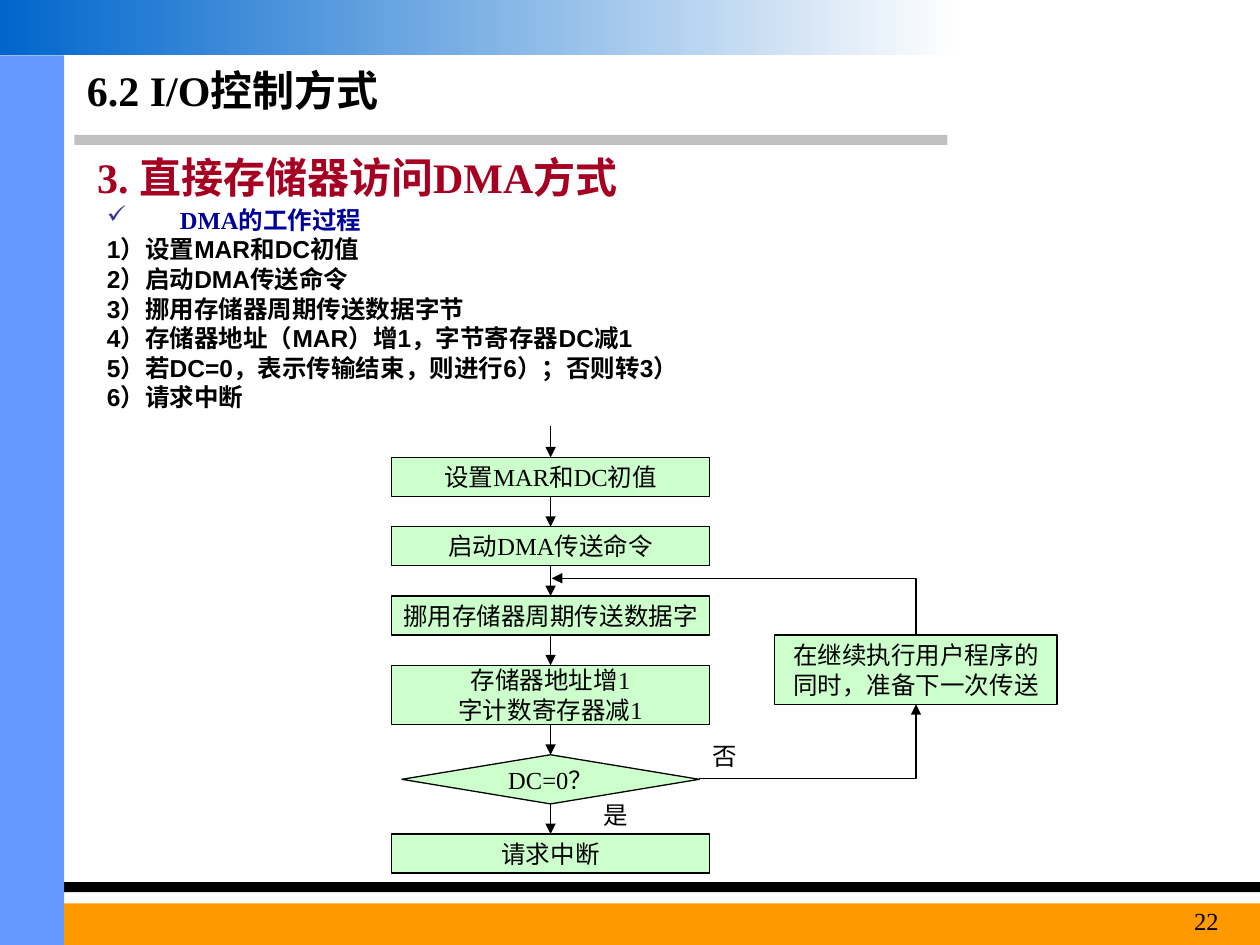
import pptx
import pptx.util
import pptx.dml.color
import pptx.enum.shapes
import pptx.enum.text
import pptx.oxml
import pptx.oxml.ns
import lxml.etree

Inches = pptx.util.Inches
Pt = pptx.util.Pt
RGBColor = pptx.dml.color.RGBColor
SHAPE = pptx.enum.shapes.MSO_SHAPE
CONNECTOR = pptx.enum.shapes.MSO_CONNECTOR
ALIGN = pptx.enum.text.PP_ALIGN
ANCHOR = pptx.enum.text.MSO_ANCHOR
qn = pptx.oxml.ns.qn

BLACK = RGBColor(0x00, 0x00, 0x00)
WHITE = RGBColor(0xFE, 0xFE, 0xFE)
GRAY = RGBColor(0xC0, 0xC0, 0xC0)
SIDE_BLUE = RGBColor(0x66, 0x99, 0xFF)
TOP_BLUE = RGBColor(0x00, 0x66, 0xCC)
ORANGE = RGBColor(0xFF, 0x99, 0x00)
GREEN = RGBColor(0xCC, 0xFF, 0xCC)
RED = RGBColor(0xA5, 0x00, 0x21)
NAVY = RGBColor(0x00, 0x00, 0x99)

presentation = pptx.Presentation()
presentation.slide_width = Inches(10)
presentation.slide_height = Inches(7.5)
slide = presentation.slides.add_slide(presentation.slide_layouts[6])
shapes = slide.shapes


def write(shape, text, size=14, color=BLACK, bold=False, align=ALIGN.LEFT, wrap=True):
    frame = shape.text_frame
    frame.word_wrap = wrap
    frame.text = text
    for paragraph in frame.paragraphs:
        paragraph.alignment = align
        paragraph.font.name = "Times New Roman"
        paragraph.font.size = Pt(size)
        paragraph.font.bold = bold
        paragraph.font.color.rgb = color
    return frame


def style_arrow(connector):
    """Give a connector a thin black line, a triangle at its end and no shadow."""
    connector.line.color.rgb = BLACK
    connector.line.width = Pt(0.75)
    line = connector.line._get_or_add_ln()
    lxml.etree.SubElement(line, qn("a:tailEnd"), type="triangle")
    lxml.etree.SubElement(connector._element.spPr, qn("a:effectLst"))


# Page frame
for left, top, width, height, color in [
    (0.59, 1.07, 6.93, 0.08, GRAY),
    (0, 7, 10, 0.08, BLACK),
    (0, 0.44, 0.51, 7.06, SIDE_BLUE),
    (0.51, 7.17, 9.49, 0.33, ORANGE),
    (0, 0, 7.6, 0.44, None),
]:
    band = shapes.add_shape(SHAPE.RECTANGLE, Inches(left), Inches(top), Inches(width), Inches(height))
    band.shadow.inherit = False
    band.line.fill.background()
    if color is not None:
        band.fill.solid()
        band.fill.fore_color.rgb = color
    else:
        band.fill.gradient()
        band.fill.gradient_angle = 0
        for stop, stop_color in zip(band.fill.gradient_stops, (TOP_BLUE, WHITE)):
            stop.color.rgb = stop_color

# Headings
title = shapes.add_textbox(Inches(0.59), Inches(0.44), Inches(6.85), Inches(0.55))
write(title, "6.2 I/O控制方式", 24, bold=True).vertical_anchor = ANCHOR.MIDDLE
heading = shapes.add_textbox(Inches(0.59), Inches(1.15), Inches(5.59), Inches(0.5))
write(heading, "3. 直接存储器访问DMA方式", 24, RED, bold=True).margin_left = Inches(0.18)

# Steps
steps = [
    "DMA的工作过程",
    "1）设置MAR和DC初值",
    "2）启动DMA传送命令",
    "3）挪用存储器周期传送数据字节",
    "4）存储器地址（MAR）增1，字节寄存器DC减1",
    "5）若DC=0，表示传输结束，则进行6）；否则转3）",
    "6）请求中断",
]
body = shapes.add_textbox(Inches(0.75), Inches(1.62), Inches(9.25), Inches(1.81))
body.text_frame.word_wrap = True
for index, step in enumerate(steps):
    paragraph = body.text_frame.paragraphs[0] if index == 0 else body.text_frame.add_paragraph()
    paragraph.text = step
    paragraph.line_spacing = 0.8
    properties = paragraph._p.get_or_add_pPr()
    properties.set("marL", str(Inches(0.58)))
    properties.set("indent", str(-Inches(0.58)))
    if index == 0:
        bullet_color = lxml.etree.SubElement(properties, qn("a:buClr"))
        lxml.etree.SubElement(bullet_color, qn("a:srgbClr"), val="333399")
        lxml.etree.SubElement(properties, qn("a:buChar"), char="✓")
    else:
        paragraph.space_before = Pt(3.5)
    paragraph.font.name = "Times New Roman" if index == 0 else "Arial"
    paragraph.font.size = Pt(14)
    paragraph.font.bold = True
    paragraph.font.color.rgb = NAVY if index == 0 else BLACK

# Flowchart nodes, stacked with equal gaps around one centre line
CENTER = 4.37
GAP = 0.24
nodes = []
top = 3.63
node_rows = [
    ("设置MAR和DC初值", SHAPE.RECTANGLE, 2.52, 0.31),
    ("启动DMA传送命令", SHAPE.RECTANGLE, 2.52, 0.31),
    ("挪用存储器周期传送数据字", SHAPE.RECTANGLE, 2.52, 0.31),
    ("存储器地址增1\n字计数寄存器减1", SHAPE.RECTANGLE, 2.52, 0.47),
    ("DC=0？", SHAPE.DIAMOND, 2.36, 0.39),
    ("请求中断", SHAPE.RECTANGLE, 2.52, 0.31),
]
placed_nodes = []
for text, kind, width, height in node_rows:
    placed_nodes.append((text, kind, CENTER - width / 2, top, width, height))
    top += height + GAP
placed_nodes.append(("在继续执行用户程序的\n同时，准备下一次传送", SHAPE.RECTANGLE, 6.15, 5.04, 2.24, 0.55))

for text, kind, left, top, width, height in placed_nodes:
    node = shapes.add_shape(kind, Inches(left), Inches(top), Inches(width), Inches(height))
    node.shadow.inherit = False
    node.fill.solid()
    node.fill.fore_color.rgb = GREEN
    node.line.color.rgb = BLACK
    node.line.width = Pt(0.75)
    write(node, text, align=ALIGN.CENTER, wrap=False).vertical_anchor = ANCHOR.MIDDLE
    nodes.append(node)

# Downward arrows
main_nodes = nodes[:-1]
for upper, lower in zip([None] + main_nodes, main_nodes):
    arrow = shapes.add_connector(CONNECTOR.STRAIGHT, Inches(CENTER), Inches(3.38), Inches(CENTER), Inches(3.63))
    if upper is not None:
        arrow.begin_connect(upper, 2)
    arrow.end_connect(lower, 0)
    style_arrow(arrow)

# Loop back through the user program; the second elbow is turned by 270 degrees
for begin_x, begin_y, end_x, end_y, rotation in [
    (5.55, 6.18, 7.27, 5.59, 0),
    (5.6, 6.26, 6.05, 3.37, 270),
]:
    elbow = shapes.add_connector(CONNECTOR.ELBOW, Inches(begin_x), Inches(begin_y), Inches(end_x), Inches(end_y))
    elbow._element.spPr.find(qn("a:prstGeom")).set("prst", "bentConnector2")
    elbow._element.spPr.find(qn("a:xfrm")).set("rot", str(rotation * 60000))
    style_arrow(elbow)

# Branch labels and page number
for text, left, top in [("否", 5.56, 5.83), ("是", 4.69, 6.3)]:
    write(shapes.add_textbox(Inches(left), Inches(top), Inches(0.47), Inches(0.34)), text)
page_number = shapes.add_textbox(Inches(8.86), Inches(7.14), Inches(0.91), Inches(0.36))
write(page_number, "22", align=ALIGN.RIGHT)

presentation.save("out.pptx")
